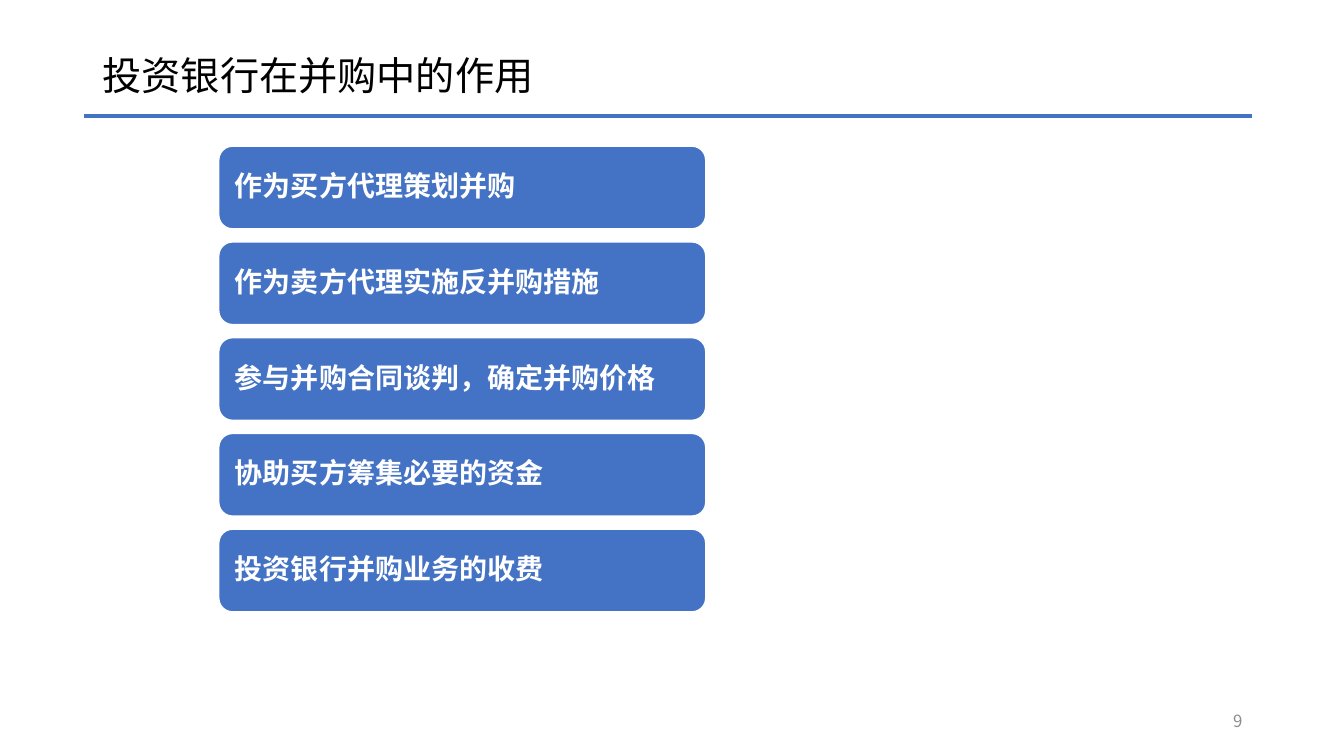
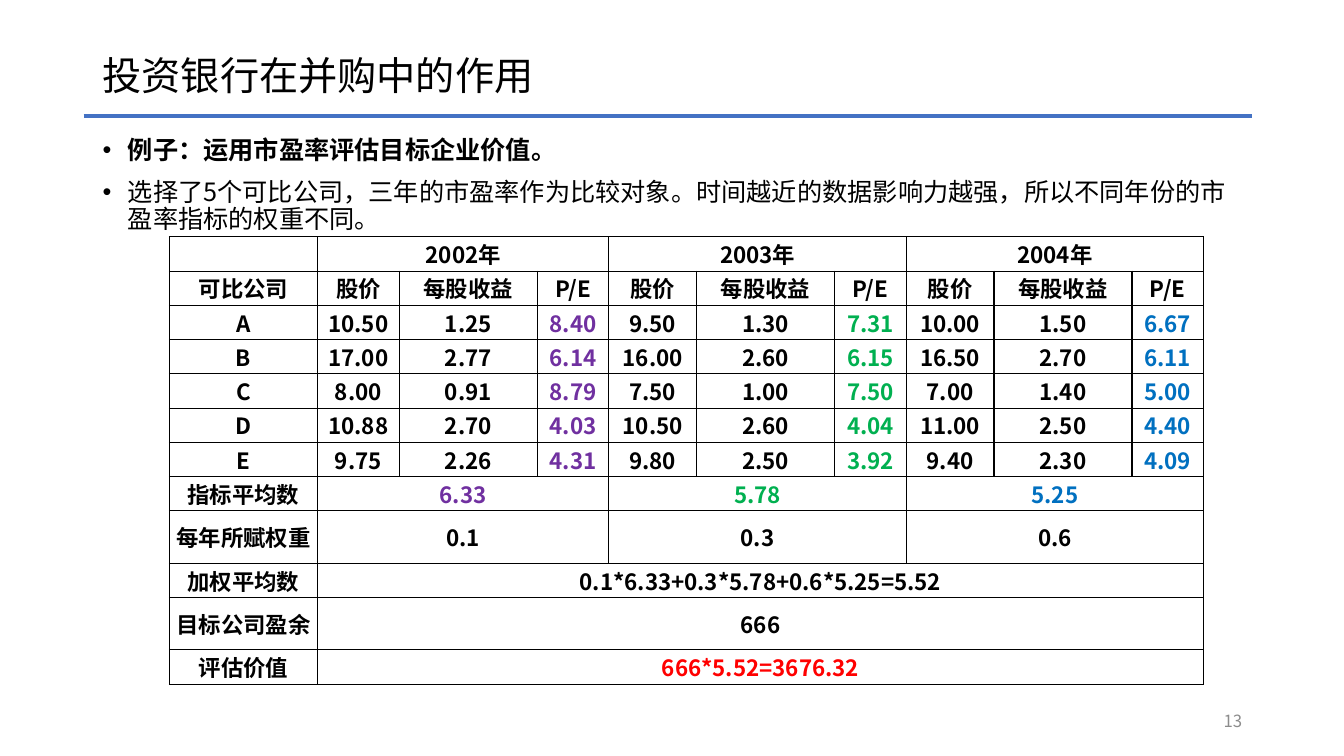
import pptx
import pptx.dml.color
import pptx.enum.shapes
import pptx.enum.text
import pptx.oxml.ns
import pptx.util
from lxml import etree

RGBColor = pptx.dml.color.RGBColor
ALIGN = pptx.enum.text.PP_ALIGN
ANCHOR = pptx.enum.text.MSO_ANCHOR

# Shared look
PX = 9144  # 100 px to the inch
FONT = "Noto Sans CJK SC"
BLACK = RGBColor(0x00, 0x00, 0x00)
WHITE = RGBColor(0xFF, 0xFF, 0xFF)
BLUE = RGBColor(0x44, 0x72, 0xC4)
GRAY = RGBColor(0x8C, 0x8C, 0x8C)
RED = RGBColor(0xFF, 0x00, 0x00)
YEAR_COLORS = (
    RGBColor(0x70, 0x30, 0xA0),
    RGBColor(0x00, 0xB0, 0x50),
    RGBColor(0x00, 0x70, 0xC0),
)

# Content
TITLE = "投资银行在并购中的作用"
ROLES = (
    "作为买方代理策划并购",
    "作为卖方代理实施反并购措施",
    "参与并购合同谈判，确定并购价格",
    "协助买方筹集必要的资金",
    "投资银行并购业务的收费",
)
EXAMPLE = "例子：运用市盈率评估目标企业价值。"
METHOD = ("选择了5个可比公司，三年的市盈率作为比较对象。"
          "时间越近的数据影响力越强，所以不同年份的市盈率指标的权重不同。")
COMPANIES = (
    ("A", "10.50 1.25 8.40 9.50 1.30 7.31 10.00 1.50 6.67"),
    ("B", "17.00 2.77 6.14 16.00 2.60 6.15 16.50 2.70 6.11"),
    ("C", "8.00 0.91 8.79 7.50 1.00 7.50 7.00 1.40 5.00"),
    ("D", "10.88 2.70 4.03 10.50 2.60 4.04 11.00 2.50 4.40"),
    ("E", "9.75 2.26 4.31 9.80 2.50 3.92 9.40 2.30 4.09"),
)
COLUMN_WIDTHS = (147, 81, 137, 71, 87, 137, 71, 87, 137, 71)
ROW_HEIGHT, TALL_ROW_HEIGHT = 34, 52
TALL_LABELS = ("每年所赋权重", "目标公司盈余")


def px(*lengths):
    return [pptx.util.Emu(length * PX) for length in lengths]


def add_xml(parent, tag, **attributes):
    return etree.SubElement(parent, pptx.oxml.ns.qn(tag), attributes)


def write_text(paragraph, text, size=16, color=BLACK, bold=False, align=ALIGN.LEFT,
               line_spacing=None, space_before=None, bullet=None):
    if bullet:
        properties = paragraph._p.get_or_add_pPr()
        properties.set("marL", str(25 * PX))
        properties.set("indent", str(-25 * PX))
        add_xml(properties, "a:buFont", typeface="Arial")
        add_xml(properties, "a:buChar", char=bullet)
    paragraph.alignment = align
    if line_spacing:
        paragraph.line_spacing = line_spacing
    if space_before:
        paragraph.space_before = pptx.util.Pt(space_before)
    run = paragraph.add_run()
    run.text = text
    run.font.size = pptx.util.Pt(size)
    run.font.bold = bold
    run.font.name = FONT
    run.font.color.rgb = color
    add_xml(run._r.get_or_add_rPr(), "a:ea", typeface=FONT)


def add_text_frame(slide, left, top, width, height, anchor=ANCHOR.MIDDLE):
    frame = slide.shapes.add_textbox(*px(left, top, width, height)).text_frame
    frame.word_wrap = True
    frame.vertical_anchor = anchor
    return frame


def add_base_slide(presentation, number):
    """Add a slide with the title, the rule below it and the page number."""
    slide = presentation.slides.add_slide(presentation.slide_layouts[6])
    title = add_text_frame(slide, 92, 40, 1150, 74)
    write_text(title.paragraphs[0], TITLE, size=28, line_spacing=0.9)
    rule = slide.shapes.add_connector(
        pptx.enum.shapes.MSO_CONNECTOR.STRAIGHT, *px(83, 115, 1242, 115))
    rule.line.color.rgb = BLUE
    rule.line.width = pptx.util.Pt(3)
    add_xml(rule._element.spPr, "a:effectLst")
    footer = add_text_frame(slide, 942, 695, 300, 40)
    write_text(footer.paragraphs[0], str(number), size=12, color=GRAY, align=ALIGN.RIGHT)
    return slide


def add_card(slide, text, top):
    card = slide.shapes.add_shape(
        pptx.enum.shapes.MSO_SHAPE.ROUNDED_RECTANGLE, *px(217, top, 483, 82))
    card.shadow.inherit = False
    card.fill.solid()
    card.fill.fore_color.rgb = BLUE
    card.line.color.rgb = WHITE
    card.line.width = pptx.util.Pt(1)
    frame = card.text_frame
    frame.word_wrap = True
    frame.vertical_anchor = ANCHOR.MIDDLE
    frame.margin_left, frame.margin_right = px(12, 12)
    write_text(frame.paragraphs[0], text, size=20, color=WHITE, bold=True, line_spacing=0.9)


def add_bullets(slide):
    frame = add_text_frame(slide, 92, 132, 1150, 544, anchor=ANCHOR.TOP)
    style = {"size": 18, "line_spacing": 0.9, "bullet": "•"}
    write_text(frame.paragraphs[0], EXAMPLE, bold=True, **style)
    write_text(frame.add_paragraph(), METHOD, space_before=10, **style)


def format_cell(cell):
    cell.fill.background()
    cell.vertical_anchor = ANCHOR.MIDDLE
    cell.margin_left, cell.margin_right, cell.margin_top, cell.margin_bottom = px(7, 7, 0, 0)
    properties = cell._tc.get_or_add_tcPr()
    for position, side in enumerate(("a:lnL", "a:lnR", "a:lnT", "a:lnB")):
        border = add_xml(properties, side, w=str(pptx.util.Pt(1)))
        add_xml(add_xml(border, "a:solidFill"), "a:srgbClr", val=str(BLACK))
        properties.insert(position, border)


def valuation_rows():
    """Return label, values and value colours; fewer values mean wider cells."""
    plain = (BLACK,) * 9
    company_colors = [color for year in YEAR_COLORS for color in (BLACK, BLACK, year)]
    return [
        ("", ("2002年", "2003年", "2004年"), plain),
        ("可比公司", ("股价", "每股收益", "P/E") * 3, plain),
        *((name, figures.split(), company_colors) for name, figures in COMPANIES),
        ("指标平均数", ("6.33", "5.78", "5.25"), YEAR_COLORS),
        ("每年所赋权重", ("0.1", "0.3", "0.6"), plain),
        ("加权平均数", ("0.1*6.33+0.3*5.78+0.6*5.25=5.52",), plain),
        ("目标公司盈余", ("666",), plain),
        ("评估价值", ("666*5.52=3676.32",), (RED,)),
    ]


def add_valuation_table(slide):
    rows = valuation_rows()
    heights = [TALL_ROW_HEIGHT if label in TALL_LABELS else ROW_HEIGHT for label, *_ in rows]
    table = slide.shapes.add_table(
        len(rows), len(COLUMN_WIDTHS),
        *px(168, 235, sum(COLUMN_WIDTHS), sum(heights))).table
    table.first_row = table.horz_banding = False
    for column, width in zip(table.columns, px(*COLUMN_WIDTHS)):
        column.width = width
    for row, height in zip(table.rows, px(*heights)):
        row.height = height
    for cell in table.iter_cells():
        format_cell(cell)

    style = {"bold": True, "align": ALIGN.CENTER}
    for row_index, (label, values, colors) in enumerate(rows):
        if label:
            write_text(table.cell(row_index, 0).text_frame.paragraphs[0], label, **style)
        span = 9 // len(values)
        for index, (value, color) in enumerate(zip(values, colors)):
            first = 1 + index * span
            cell = table.cell(row_index, first)
            if span > 1:
                cell.merge(table.cell(row_index, first + span - 1))
            write_text(cell.text_frame.paragraphs[0], value, color=color, **style)


def main():
    presentation = pptx.Presentation()
    presentation.slide_width, presentation.slide_height = px(1333, 750)

    # Roles of the bank
    roles_slide = add_base_slide(presentation, 9)
    for index, role in enumerate(ROLES):
        add_card(roles_slide, role, top=145 + 95 * index)

    # Valuation example
    example_slide = add_base_slide(presentation, 13)
    add_bullets(example_slide)
    add_valuation_table(example_slide)

    presentation.save("out.pptx")


if __name__ == "__main__":
    main()
